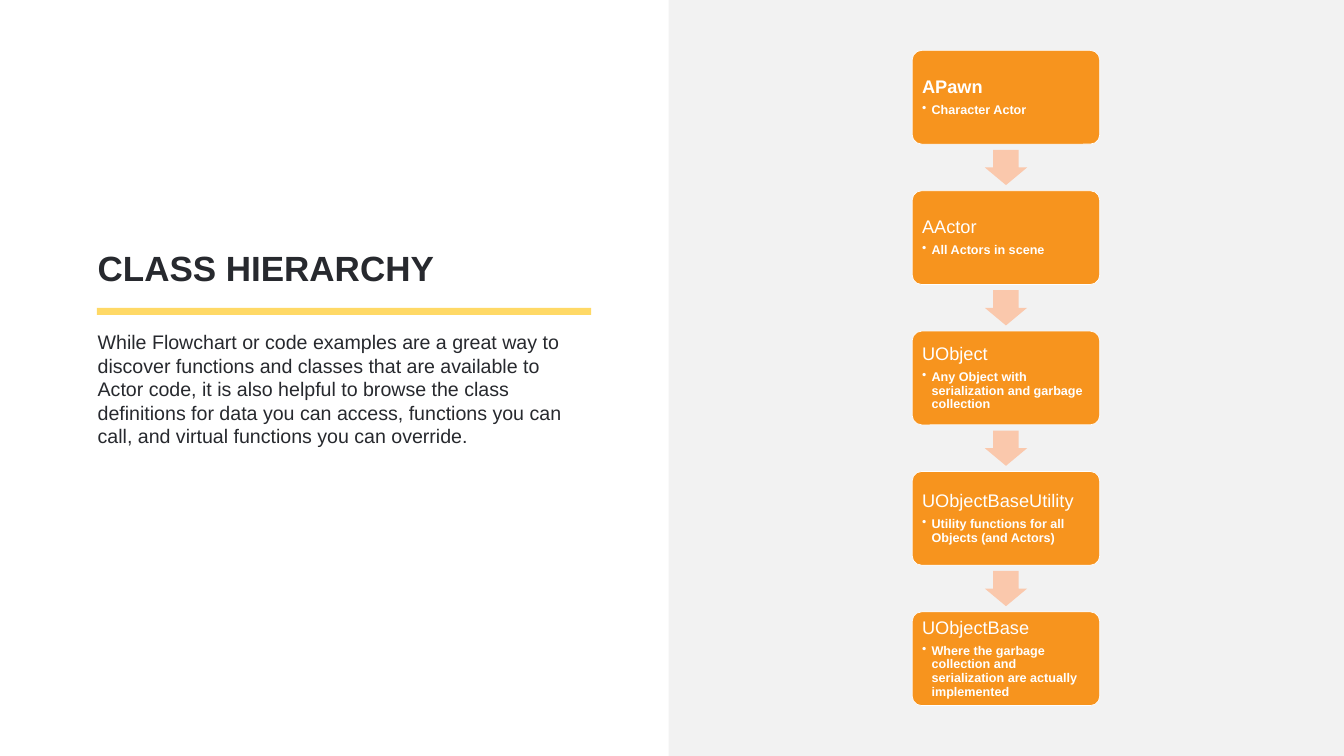
from dataclasses import dataclass

from lxml import etree
from pptx import Presentation
from pptx.dml.color import RGBColor
from pptx.enum.shapes import MSO_SHAPE
from pptx.enum.text import MSO_ANCHOR, PP_ALIGN
from pptx.oxml.ns import qn
from pptx.shapes.autoshape import Shape
from pptx.slide import Slide
from pptx.text.text import TextFrame, _Paragraph
from pptx.util import Inches, Pt

RECTANGLE = MSO_SHAPE.RECTANGLE
ROUNDED = MSO_SHAPE.ROUNDED_RECTANGLE
DOWN_ARROW = MSO_SHAPE.DOWN_ARROW
TOP, MIDDLE, BOTTOM = MSO_ANCHOR.TOP, MSO_ANCHOR.MIDDLE, MSO_ANCHOR.BOTTOM
LEFT = PP_ALIGN.LEFT

SLIDE_WIDTH = Inches(26.67)
SLIDE_HEIGHT = Inches(15)
COLUMNS, ROWS = 80, 45


@dataclass(frozen=True)
class Theme:
    font: str = "Arial"
    ink: str = "27292E"
    white: str = "FFFFFF"
    panel: str = "F2F2F2"
    rule: str = "FFD966"
    card: str = "F7941E"
    arrow: str = "FAC8AC"
    title_size: int = 50
    body_size: int = 28
    name_size: int = 26
    note_size: int = 18


@dataclass(frozen=True)
class Area:
    column: float
    row: float
    columns: float
    rows: float


@dataclass(frozen=True)
class ClassCard:
    name: str
    note: str
    bold: bool = False


THEME = Theme()
PANEL = Area(39.8, 0, 40.2, ROWS)
RULE = Area(5.76, 18.33, 29.43, 0.42)
TITLE = Area(5.52, 3, 29.67, 14.31)
BODY = Area(5.52, 19.5, 29.67, 25)
STACK = Area(54.3, 3, 11.16, 39)
CARD_ROWS = 5.58
ARROW_COLUMNS, ARROW_ROWS = 2.52, 2.1

TITLE_TEXT = "CLASS HIERARCHY"
BODY_TEXT = (
    "While Flowchart or code examples are a great way to discover functions and "
    "classes that are available to Actor code, it is also helpful to browse the "
    "class definitions for data you can access, functions you can call, and "
    "virtual functions you can override."
)
CARDS = [
    ClassCard("APawn", "Character Actor", bold=True),
    ClassCard("AActor", "All Actors in scene"),
    ClassCard("UObject", "Any Object with serialization and garbage collection"),
    ClassCard("UObjectBaseUtility", "Utility functions for all Objects (and Actors)"),
    ClassCard(
        "UObjectBase",
        "Where the garbage collection and serialization are actually implemented",
    ),
]


def place(area: Area) -> tuple[int, int, int, int]:
    return (
        round(SLIDE_WIDTH * area.column / COLUMNS),
        round(SLIDE_HEIGHT * area.row / ROWS),
        round(SLIDE_WIDTH * area.columns / COLUMNS),
        round(SLIDE_HEIGHT * area.rows / ROWS),
    )


def add_block(slide: Slide, kind: MSO_SHAPE, area: Area, fill: str) -> Shape:
    shape = slide.shapes.add_shape(kind, *place(area))
    shape.shadow.inherit = False
    shape.fill.solid()
    shape.fill.fore_color.rgb = RGBColor.from_string(fill)
    shape.line.fill.background()
    return shape


def format_paragraph(
    paragraph: _Paragraph, size: int, color: str, bold: bool = False
) -> None:
    paragraph.alignment = LEFT
    for run in paragraph.runs:
        run.font.name = THEME.font
        run.font.size = Pt(size)
        run.font.bold = bold
        run.font.color.rgb = RGBColor.from_string(color)


def add_text(
    slide: Slide, area: Area, text: str, size: int, anchor: MSO_ANCHOR, bold: bool
) -> None:
    text_frame = slide.shapes.add_textbox(*place(area)).text_frame
    text_frame.word_wrap = True
    text_frame.vertical_anchor = anchor
    text_frame.text = text
    format_paragraph(text_frame.paragraphs[0], size, THEME.ink, bold)


def add_bullet(paragraph: _Paragraph) -> None:
    properties = paragraph._p.get_or_add_pPr()
    properties.set("marL", str(Inches(0.19)))
    properties.set("indent", str(-Inches(0.19)))
    etree.SubElement(properties, qn("a:buChar")).set("char", "•")


def set_margins(text_frame: TextFrame, margin: int) -> None:
    text_frame.margin_left = text_frame.margin_right = margin
    text_frame.margin_top = text_frame.margin_bottom = margin


def add_card(slide: Slide, area: Area, card: ClassCard) -> None:
    shape = add_block(slide, ROUNDED, area, THEME.card)
    shape.adjustments[0] = 0.1
    shape.line.color.rgb = RGBColor.from_string(THEME.white)
    shape.line.width = Pt(1)

    text_frame = shape.text_frame
    text_frame.word_wrap = True
    text_frame.vertical_anchor = MIDDLE
    set_margins(text_frame, Inches(0.14))
    text_frame.text = f"{card.name}\n{card.note}"
    name, note = text_frame.paragraphs
    add_bullet(note)
    name.space_after = Pt(9)
    name.line_spacing = note.line_spacing = 0.9
    format_paragraph(name, THEME.name_size, THEME.white, card.bold)
    format_paragraph(note, THEME.note_size, THEME.white, True)


def add_arrow(slide: Slide, gap: Area) -> None:
    area = Area(
        gap.column + (gap.columns - ARROW_COLUMNS) / 2,
        gap.row + (gap.rows - ARROW_ROWS) / 2,
        ARROW_COLUMNS,
        ARROW_ROWS,
    )
    arrow = add_block(slide, DOWN_ARROW, area, THEME.arrow)
    arrow.adjustments[0] = 0.6
    arrow.adjustments[1] = 0.5


def add_hierarchy(slide: Slide) -> None:
    pitch = (STACK.rows - CARD_ROWS) / (len(CARDS) - 1)
    for index, card in enumerate(CARDS):
        row = STACK.row + index * pitch
        add_card(slide, Area(STACK.column, row, STACK.columns, CARD_ROWS), card)
        if index < len(CARDS) - 1:
            gap = Area(STACK.column, row + CARD_ROWS, STACK.columns, pitch - CARD_ROWS)
            add_arrow(slide, gap)


def main() -> None:
    presentation = Presentation()
    presentation.slide_width = SLIDE_WIDTH
    presentation.slide_height = SLIDE_HEIGHT
    slide = presentation.slides.add_slide(presentation.slide_layouts[6])
    add_block(slide, RECTANGLE, PANEL, THEME.panel)
    add_block(slide, RECTANGLE, RULE, THEME.rule)
    add_text(slide, TITLE, TITLE_TEXT, THEME.title_size, BOTTOM, True)
    add_text(slide, BODY, BODY_TEXT, THEME.body_size, TOP, False)
    add_hierarchy(slide)
    presentation.save("out.pptx")


if __name__ == "__main__":
    main()
